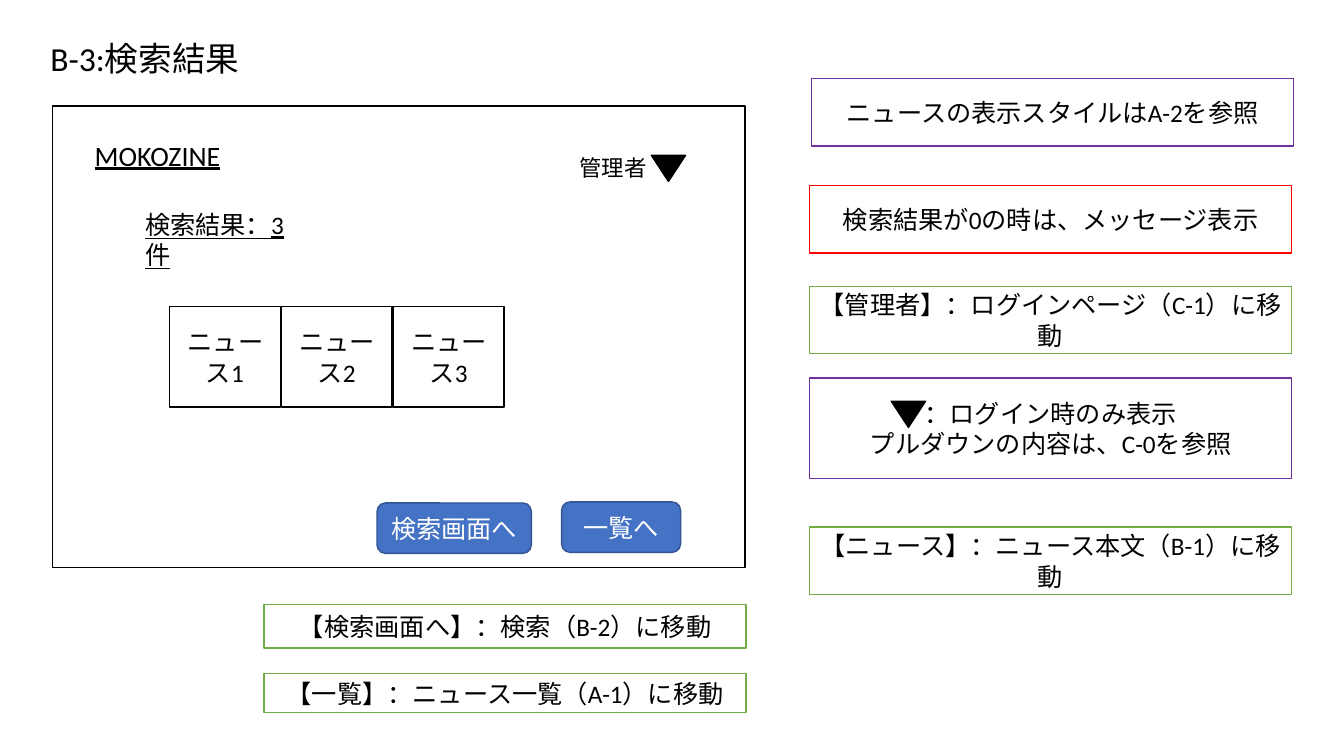
from pptx import Presentation
from pptx.dml.color import RGBColor
from pptx.enum.shapes import MSO_SHAPE
from pptx.enum.text import MSO_ANCHOR, MSO_AUTO_SIZE, PP_ALIGN
from pptx.util import Inches, Pt

BLACK, WHITE, RED = "000000", "FFFFFF", "FF0000"
BLUE, DARK_BLUE = "4472C4", "325491"
GREEN, PURPLE = "70AD47", "7030A0"


def color(value):
    return RGBColor.from_string(value)


def write(shape, text, size=18, ink=BLACK, align=PP_ALIGN.LEFT, underline=None):
    frame = shape.text_frame
    frame.word_wrap = True
    frame.text = text
    for para in frame.paragraphs:
        para.alignment = align
        for span in para.runs:
            span.font.name = "Calibri"
            span.font.size = Pt(size)
            span.font.underline = underline
            span.font.color.rgb = color(ink)


def add_box(shapes, left, top, width, height, text="", fill=WHITE, line=BLACK,
            ink=BLACK, kind=MSO_SHAPE.RECTANGLE):
    box = shapes.add_shape(kind, Inches(left), Inches(top), Inches(width), Inches(height))
    box.shadow.inherit = False
    box.fill.solid()
    box.fill.fore_color.rgb = color(fill)
    box.line.color.rgb = color(line)
    box.line.width = Pt(1)
    if text:
        box.text_frame.vertical_anchor = MSO_ANCHOR.MIDDLE
        write(box, text, ink=ink, align=PP_ALIGN.CENTER)
    return box


def add_label(shapes, left, top, width, height, text, size, underline=None):
    label = shapes.add_textbox(Inches(left), Inches(top), Inches(width), Inches(height))
    write(label, text, size, underline=underline)
    label.text_frame.auto_size = MSO_AUTO_SIZE.SHAPE_TO_FIT_TEXT


def add_button(shapes, left, top, width, text):
    add_box(shapes, left, top, width, 0.5, text, BLUE, DARK_BLUE, WHITE,
            MSO_SHAPE.ROUNDED_RECTANGLE)


def add_note(shapes, left, top, height, text, line):
    add_box(shapes, left, top, 4.78, height, text, line=line)


def add_pulldown(shapes, left, top):
    arrow = add_box(shapes, left, top, 0.34, 0.26, fill=BLACK,
                    kind=MSO_SHAPE.ISOSCELES_TRIANGLE)
    arrow.rotation = 180


def add_title(page, text):
    title = page.shapes.title
    title.left, title.top = Inches(0.4), Inches(0.29)
    title.width, title.height = Inches(11.5), Inches(0.62)
    write(title, text, 24)
    title.text_frame.vertical_anchor = MSO_ANCHOR.MIDDLE
    title.text_frame.paragraphs[0].line_spacing = 0.9


def main():
    deck = Presentation()
    deck.slide_width, deck.slide_height = Inches(13.33), Inches(7.5)
    page = deck.slides.add_slide(deck.slide_layouts[5])
    shapes = page.shapes
    add_title(page, "B-3:検索結果")

    # Screen frame with its headings
    add_box(shapes, 0.52, 1.05, 6.87, 4.58)
    add_label(shapes, 0.84, 1.32, 4.23, 0.44, "MOKOZINE", 20, underline=True)
    add_label(shapes, 1.34, 2.03, 1.82, 0.4, "検索結果：3件", 18, underline=True)

    # Row of news tiles
    for index in range(3):
        add_box(shapes, 1.68 + 1.11 * index, 3.04, 1.1, 1, f"ニュース{index + 1}")

    # Navigation buttons
    add_button(shapes, 5.57, 4.98, 1.18, "一覧へ")
    add_button(shapes, 3.74, 4.99, 1.53, "検索画面へ")

    # Administrator menu
    menu = shapes.add_group_shape().shapes
    add_label(menu, 5.65, 1.48, 0.91, 0.37, "管理者", 16)
    add_pulldown(menu, 6.46, 1.54)

    # Notes beside and below the screen
    for left, top, height, text, line in [
        (8.05, 0.78, 0.67, "ニュースの表示スタイルはA-2を参照", PURPLE),
        (8.03, 1.84, 0.67, "検索結果が0の時は、メッセージ表示", RED),
        (8.03, 2.84, 0.67, "【管理者】：ログインページ（C-1）に移動", GREEN),
        (8.03, 5.23, 0.67, "【ニュース】：ニュース本文（B-1）に移動", GREEN),
        (2.62, 6, 0.43, "【検索画面へ】：検索（B-2）に移動", GREEN),
        (2.62, 6.68, 0.39, "【一覧】：ニュース一覧（A-1）に移動", GREEN),
    ]:
        add_note(shapes, left, top, height, text, line)

    # Note on the pull-down arrow
    legend = shapes.add_group_shape().shapes
    add_note(legend, 8.03, 3.75, 1,
             "：ログイン時のみ表示\nプルダウンの内容は、C-0を参照", PURPLE)
    add_pulldown(legend, 8.84, 3.98)

    deck.save("out.pptx")


main()
